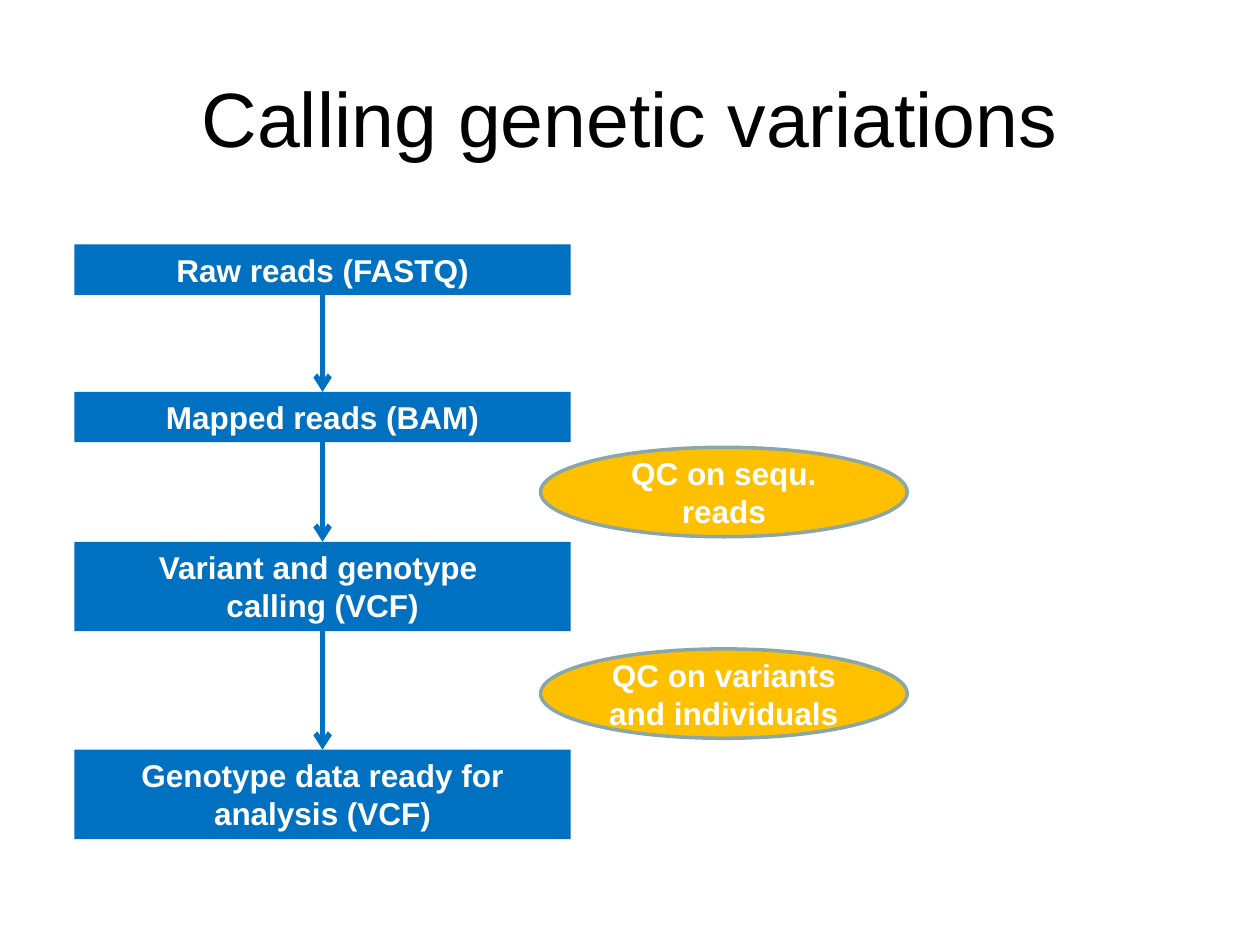
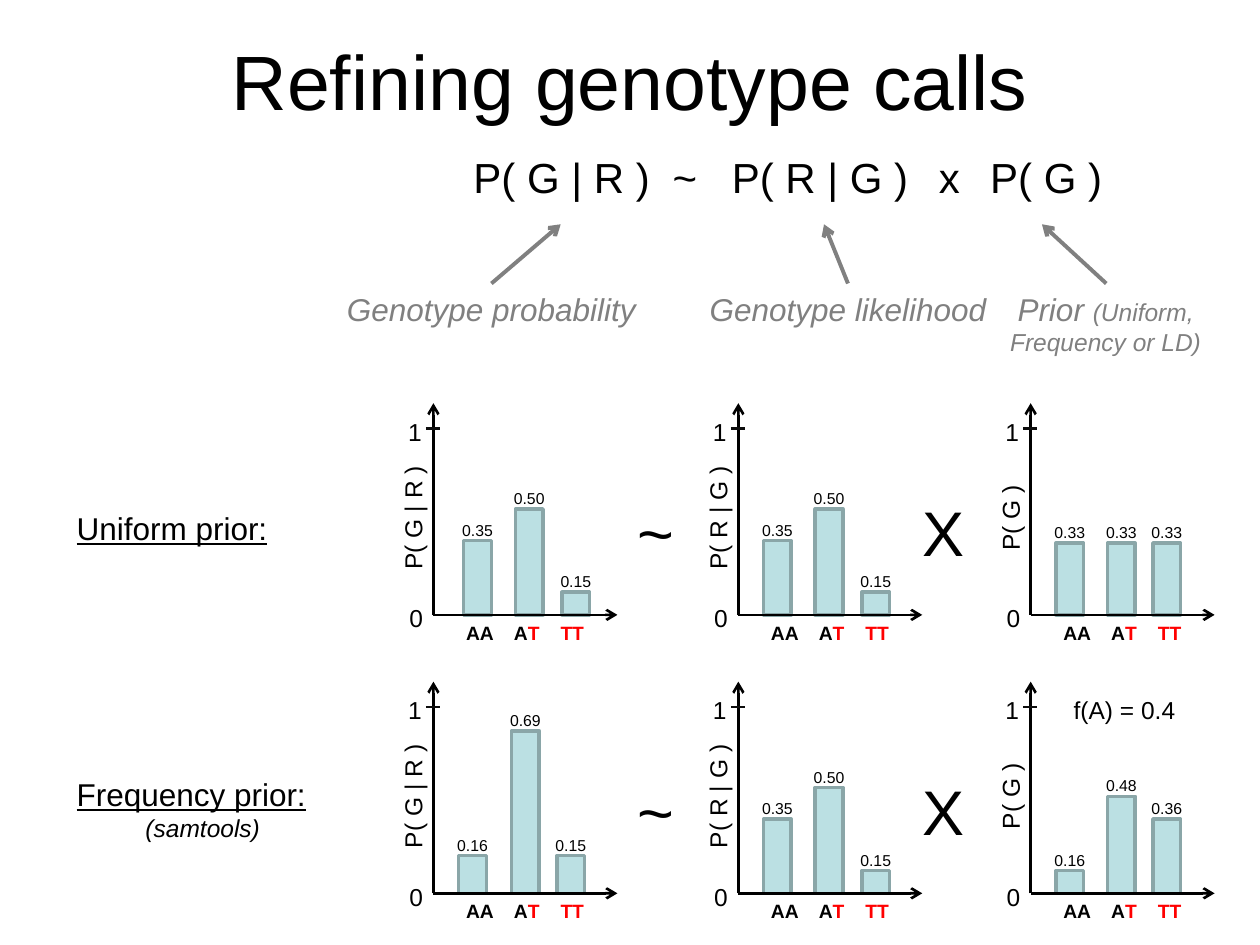
import dataclasses
import typing

import lxml.etree
import pptx
import pptx.dml.color
import pptx.enum.shapes
import pptx.enum.text
import pptx.oxml.ns
import pptx.shapes.autoshape
import pptx.shapes.connector
import pptx.slide
import pptx.text.text
import pptx.util

PX_PER_INCH = 100
EMU_PER_PX = 914400 // PX_PER_INCH

FONT = "Arial"
BLACK = "000000"
WHITE = "FFFFFF"
BLUE = "0070C0"
AMBER = "FFC000"
GREY = "808080"
TEAL = "BBE0E3"
TEAL_EDGE = "8AA6A8"
RED = "FF0000"
TICK = "0D0D0D"

ALIGN = pptx.enum.text.PP_ALIGN
ANCHOR = pptx.enum.text.MSO_ANCHOR
PRESET = pptx.enum.shapes.MSO_SHAPE

Point = tuple[int, int]


class Area(typing.NamedTuple):
    left: int
    top: int
    width: int
    height: int


class Stage(typing.NamedTuple):
    label: str
    top: int
    height: int


class Bar(typing.NamedTuple):
    value: str
    offset: int
    height: int


@dataclasses.dataclass(frozen=True)
class Panel:
    """A small bar diagram whose origin is where its axes meet."""
    origin: Point
    quantity: str
    bars: tuple[Bar, ...]


class Term(typing.NamedTuple):
    formula: str
    area: Area
    centred: bool = False


STAGES = (
    Stage("Raw reads (FASTQ)", 194, 40),
    Stage("Mapped reads (BAM)", 311, 40),
    Stage("Variant and genotype \ncalling (VCF)", 430, 71),
    Stage("Genotype data ready for analysis (VCF)", 595, 71),
)
CHECKS = (
    ("QC on sequ.\nreads", 355),
    ("QC on variants\nand individuals", 515),
)

TERMS = (
    Term("P( G | R )\t~", Area(366, 115, 220, 50)),
    Term("P( R | G )", Area(571, 115, 165, 50)),
    Term("x", Area(671, 115, 165, 50), centred=True),
    Term("P( G )", Area(776, 115, 165, 50)),
)
POINTERS = (
    ((390, 225), (445, 178)),
    ((673, 225), (654, 178)),
    ((878, 225), (827, 178)),
)

LIKELIHOOD = (Bar("0.35", 20, 59), Bar("0.50", 61, 84), Bar("0.15", 98, 18))
UNIFORM_POSTERIOR = tuple(bar._replace(offset=bar.offset + 4) for bar in LIKELIHOOD)
UNIFORM_PRIOR = tuple(Bar("0.33", offset, 57) for offset in (20, 61, 97))
FREQUENCY_POSTERIOR = (Bar("0.16", 20, 30), Bar("0.69", 62, 129), Bar("0.15", 98, 30))
FREQUENCY_PRIOR = (Bar("0.16", 20, 18), Bar("0.48", 61, 77), Bar("0.36", 97, 59))
QUANTITIES = (("P( G | R )", 344), ("P( R | G )", 586), ("P( G )", 818))
OPERATORS = (("~", 496), ("X", 722))
PRIOR_ROWS = (
    (488, (UNIFORM_POSTERIOR, LIKELIHOOD, UNIFORM_PRIOR)),
    (709, (FREQUENCY_POSTERIOR, LIKELIHOOD, FREQUENCY_PRIOR)),
)


def px(length: int) -> pptx.util.Emu:
    return pptx.util.Emu(length * EMU_PER_PX)


def rgb(value: str) -> pptx.dml.color.RGBColor:
    return pptx.dml.color.RGBColor.from_string(value)


def write(frame: pptx.text.text.TextFrame, text: str, *, size: int = 14,
          color: str = BLACK, bold: bool = False, italic: bool = False,
          underline: bool = False, align: ALIGN = ALIGN.LEFT,
          new_paragraph: bool = False) -> None:
    """Append formatted text; each line break in it starts a paragraph."""
    for index, line in enumerate(text.split("\n")):
        starts = index > 0 or new_paragraph
        paragraph = frame.add_paragraph() if starts else frame.paragraphs[-1]
        paragraph.alignment = align
        run = paragraph.add_run()
        run.text = line
        run.font.name = FONT
        run.font.size = pptx.util.Pt(size)
        run.font.color.rgb = rgb(color)
        run.font.bold = bold
        run.font.italic = italic
        run.font.underline = underline


def set_tabs(frame: pptx.text.text.TextFrame, *stops: int) -> None:
    properties = frame.paragraphs[0]._p.get_or_add_pPr()
    tabs = lxml.etree.SubElement(properties, pptx.oxml.ns.qn("a:tabLst"))
    for stop in stops:
        lxml.etree.SubElement(tabs, pptx.oxml.ns.qn("a:tab"), pos=str(px(stop)), algn="l")


def add_label(slide: pptx.slide.Slide, area: Area, text: str = "", *,
              rotation: int = 0, **style: typing.Any) -> pptx.text.text.TextFrame:
    box = slide.shapes.add_textbox(*map(px, area))
    box.rotation = rotation
    frame = box.text_frame
    frame.word_wrap = True
    if text:
        write(frame, text, **style)
    return frame


def add_title(slide: pptx.slide.Slide, text: str, top: int) -> None:
    frame = add_label(slide, Area(50, top, 900, 125), text, size=44, align=ALIGN.CENTER)
    frame.vertical_anchor = ANCHOR.MIDDLE


def add_block(slide: pptx.slide.Slide, preset: PRESET, area: Area, fill: str,
              edge: str | None = None) -> pptx.shapes.autoshape.Shape:
    block = slide.shapes.add_shape(preset, *map(px, area))
    block.shadow.inherit = False
    block.fill.solid()
    block.fill.fore_color.rgb = rgb(fill)
    if edge:
        block.line.color.rgb = rgb(edge)
        block.line.width = pptx.util.Pt(2)
    else:
        block.line.fill.background()
    return block


def add_line(slide: pptx.slide.Slide, start: Point, end: Point, color: str,
             width: float, arrow: bool = True) -> pptx.shapes.connector.Connector:
    line = slide.shapes.add_connector(
        pptx.enum.shapes.MSO_CONNECTOR.STRAIGHT, *map(px, (*start, *end)))
    line.line.color.rgb = rgb(color)
    line.line.width = pptx.util.Pt(width)
    if arrow:
        lxml.etree.SubElement(line.line._get_or_add_ln(),
                              pptx.oxml.ns.qn("a:tailEnd"), type="arrow")
    lxml.etree.SubElement(line._element.spPr, pptx.oxml.ns.qn("a:effectLst"))
    return line


def add_panel(slide: pptx.slide.Slide, panel: Panel) -> None:
    x, y = panel.origin
    for bar in panel.bars:
        left, top = x + bar.offset, y - bar.height
        add_block(slide, PRESET.RECTANGLE, Area(left, top, 22, bar.height), TEAL, TEAL_EDGE)
        add_label(slide, Area(left - 11, top - 21, 52, 25), bar.value, size=9)

    add_line(slide, (x, y), (x, y - 168), BLACK, 1.5)
    add_line(slide, (x, y), (x + 146, y), BLACK, 1.5)
    add_line(slide, (x - 6, y - 148), (x + 5, y - 148), TICK, 1.5, arrow=False)
    add_label(slide, Area(x - 30, y - 162, 22, 34), "1")
    add_label(slide, Area(x - 29, y - 14, 22, 34), "0")
    add_label(slide, Area(x - 68, y - 94, 104, 34), panel.quantity,
              rotation=270, align=ALIGN.CENTER)

    genotypes = add_label(slide, Area(x + 16, y, 119, 29), "AA\tA", size=11, bold=True)
    write(genotypes, "T\tTT", size=11, bold=True, color=RED)
    set_tabs(genotypes, 38, 75)


def build_calling(slide: pptx.slide.Slide) -> None:
    add_title(slide, "Calling genetic variations", 30)
    heading = {"size": 18, "color": WHITE, "bold": True, "align": ALIGN.CENTER}

    steps = []
    for stage in STAGES:
        step = add_block(slide, PRESET.RECTANGLE,
                         Area(59, stage.top, 394, stage.height), BLUE)
        step.text_frame.vertical_anchor = ANCHOR.TOP
        write(step.text_frame, stage.label, **heading)
        steps.append(step)

    for before, after in zip(steps, steps[1:]):
        flow = add_line(slide, (0, 0), (0, 0), BLUE, 3)
        flow.begin_connect(before, 2)
        flow.end_connect(after, 0)

    for check, top in CHECKS:
        oval = add_block(slide, PRESET.OVAL, Area(429, top, 291, 71), AMBER, TEAL_EDGE)
        oval.text_frame.vertical_anchor = ANCHOR.MIDDLE
        write(oval.text_frame, check, **heading)


def build_refining(slide: pptx.slide.Slide) -> None:
    add_title(slide, "Refining genotype calls", 1)
    for term in TERMS:
        frame = add_label(slide, term.area, term.formula, size=24,
                          align=ALIGN.CENTER if term.centred else ALIGN.LEFT)
        if "\t" in term.formula:
            set_tabs(frame, 158)

    for start, end in POINTERS:
        add_line(slide, start, end, GREY, 2.25)
    remark = {"color": GREY, "italic": True, "align": ALIGN.CENTER}
    add_label(slide, Area(256, 225, 268, 40), "Genotype probability", size=18, **remark)
    add_label(slide, Area(539, 225, 268, 40), "Genotype likelihood", size=18, **remark)
    prior = add_label(slide, Area(783, 225, 189, 64), "Prior ", size=18, **remark)
    write(prior, "(Uniform, Frequency or LD)", **remark)

    for base, distributions in PRIOR_ROWS:
        for (quantity, x), bars in zip(QUANTITIES, distributions):
            add_panel(slide, Panel((x, base), quantity, bars))
        for operator, left in OPERATORS:
            add_label(slide, Area(left, base - 101, 44, 49), operator,
                      size=36, align=ALIGN.CENTER)

    add_label(slide, Area(832, 547, 121, 34), "f(A) = 0.4", align=ALIGN.CENTER)
    add_label(slide, Area(51, 399, 220, 40), "Uniform prior:", size=18, underline=True)
    frequency = add_label(slide, Area(51, 610, 220, 64), "Frequency prior:",
                          size=18, underline=True)
    write(frequency, "(samtools)", italic=True, align=ALIGN.CENTER, new_paragraph=True)


def main() -> None:
    deck = pptx.Presentation()
    deck.slide_width, deck.slide_height = px(1000), px(750)
    blank = deck.slide_layouts[6]
    for build in (build_calling, build_refining):
        build(deck.slides.add_slide(blank))
    deck.save("out.pptx")


if __name__ == "__main__":
    main()
